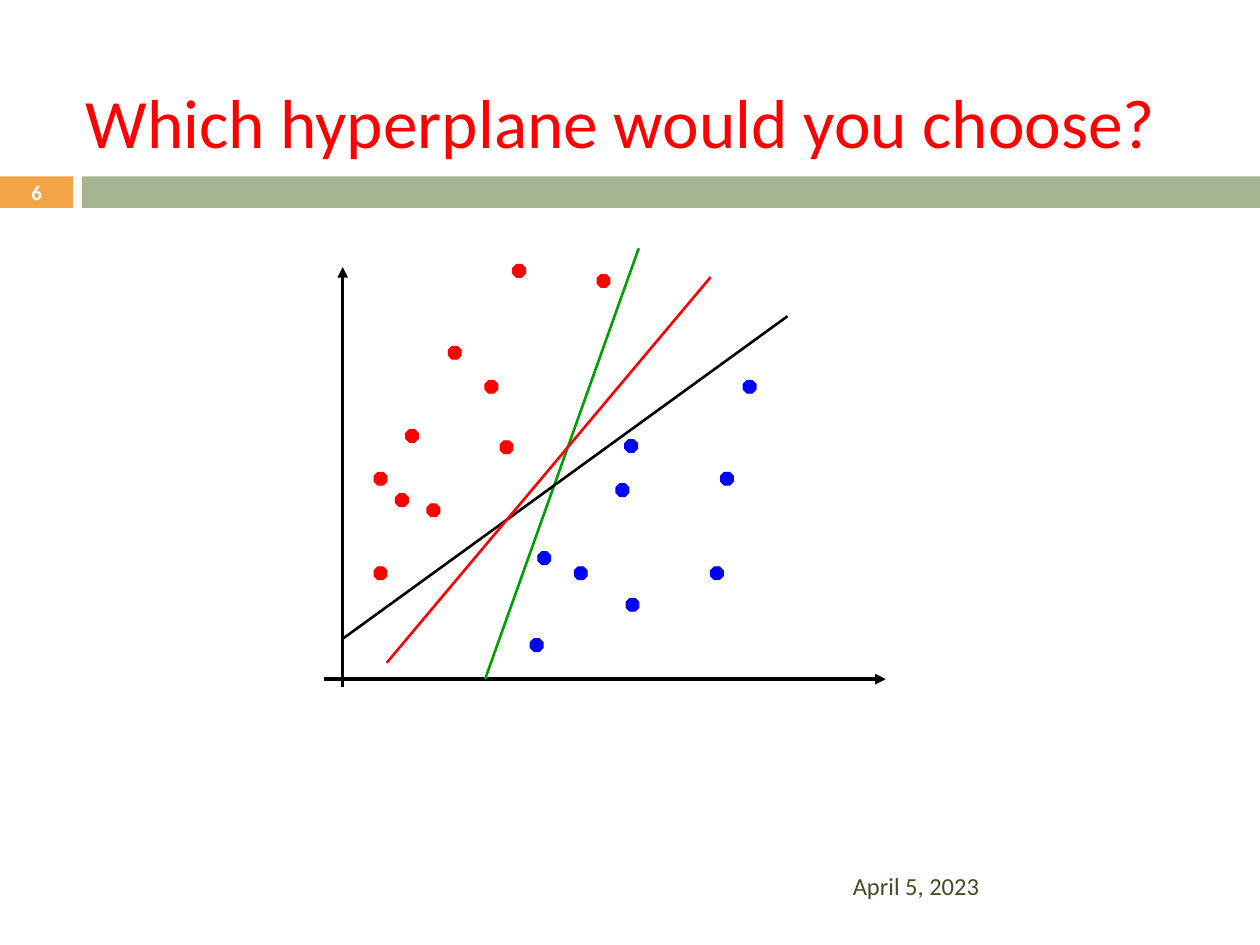
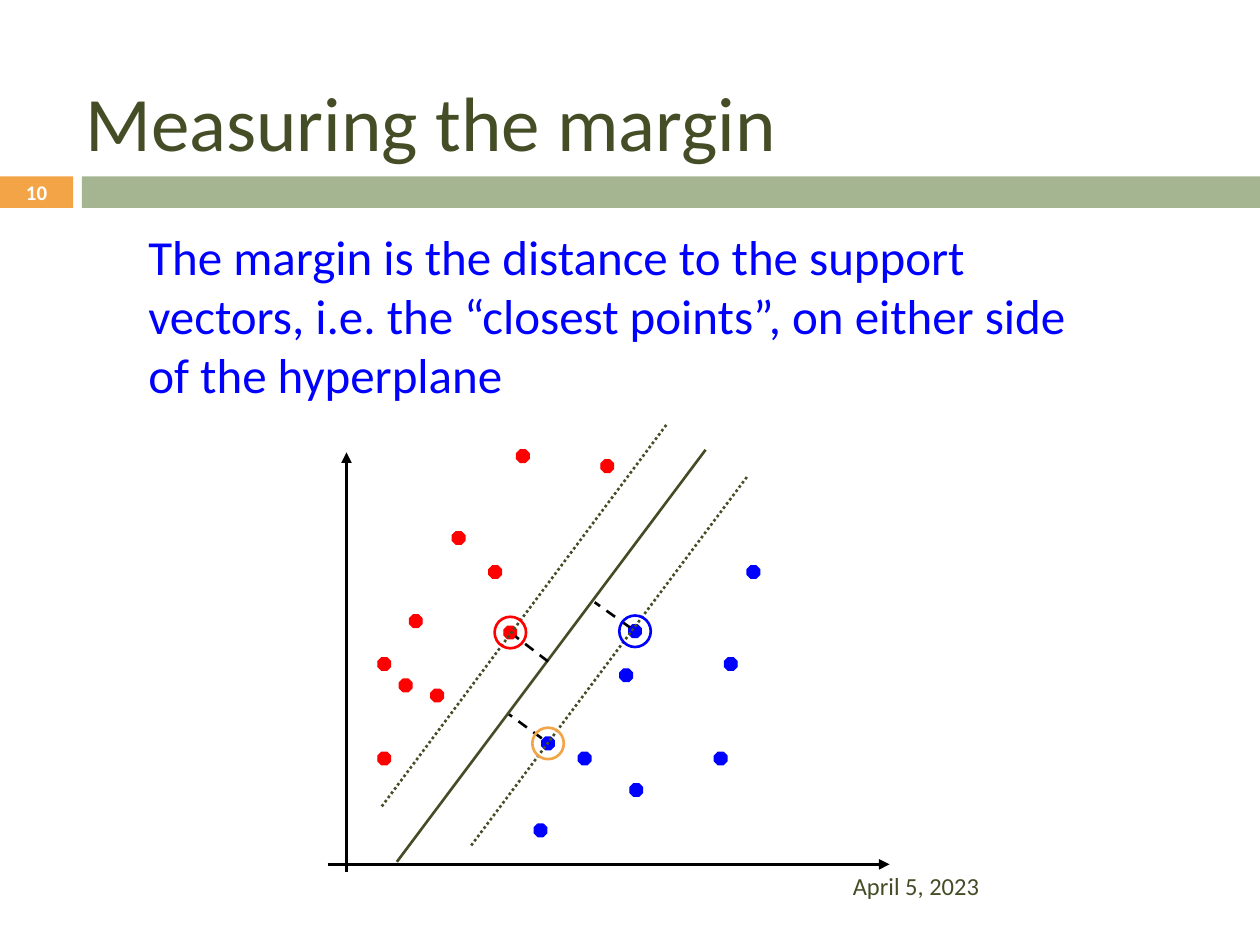
"""Build two slides on choosing a separating hyperplane and measuring its margin."""
import pptx
import pptx.dml.color
import pptx.enum.dml
import pptx.enum.shapes
import pptx.enum.text
import pptx.oxml
import pptx.oxml.ns
import pptx.util

RGBColor = pptx.dml.color.RGBColor
SHAPE = pptx.enum.shapes.MSO_SHAPE
DASH = pptx.enum.dml.MSO_LINE
ALIGN = pptx.enum.text.PP_ALIGN
ANCHOR = pptx.enum.text.MSO_ANCHOR

ORANGE = RGBColor(0xF3, 0xA4, 0x47)
SAGE = RGBColor(0xA5, 0xB5, 0x92)
OLIVE = RGBColor(0x44, 0x4D, 0x26)
RED = RGBColor(0xFF, 0x00, 0x00)
BLUE = RGBColor(0x00, 0x00, 0xFF)
GREEN = RGBColor(0x00, 0xA0, 0x00)
BLACK = RGBColor(0x00, 0x00, 0x00)
WHITE = RGBColor(0xFF, 0xFF, 0xFF)

deck = pptx.Presentation()
deck.slide_width = pptx.util.Inches(10)
deck.slide_height = pptx.util.Inches(7.5)
COLUMN = deck.slide_width / 10
ROW = deck.slide_height / 7.5

DOT = 0.1
RING = 0.25
AXES = [((0, -0.06), (0, 3.27)), ((-0.15, 0), (4.31, 0))]
POINTS = {
    RED: [(1.18, 2.32), (0.55, 1.93), (0.72, 1.34), (0.3, 0.84), (0.89, 2.59),
          (0.3, 1.59), (0.47, 1.42), (1.3, 1.84), (1.4, 3.24), (2.07, 3.16)],
    BLUE: [(2.29, 1.85), (1.89, 0.84), (2.97, 0.84), (1.54, 0.27), (2.22, 1.5),
           (1.6, 0.96), (2.3, 0.59), (3.05, 1.59), (3.23, 2.32)],
}

SLIDES = [
    {
        "number": "6", "title": "Which hyperplane would you choose?",
        "title_size": 39.6, "title_color": RED, "body": None,
        "origin": (2.72, 5.39),
        "lines": [
            ((1.13, 0), (2.35, 3.42), GREEN, DASH.SOLID),
            ((0, 0.32), (3.53, 2.88), BLACK, DASH.SOLID),
            ((0.35, 0.13), (2.92, 3.19), RED, DASH.SOLID),
        ],
        "support_vectors": [],
    },
    {
        "number": "10", "title": "Measuring the margin",
        "title_size": 44, "title_color": OLIVE,
        "body": "The margin is the distance to the support vectors, i.e. the "
                "“closest points”, on either side of the hyperplane",
        "origin": (2.75, 6.86),
        "lines": [
            ((0.4, 0.02), (2.85, 3.29), OLIVE, DASH.SOLID),
            ((2.25, 1.88), (1.97, 2.08), BLACK, DASH.DASH),
            ((1.55, 1), (1.29, 1.19), BLACK, DASH.DASH),
            ((1.6, 1.61), (1.34, 1.81), BLACK, DASH.DASH),
            ((0.99, 0.15), (3.19, 3.09), OLIVE, DASH.ROUND_DOT),
            ((0.28, 0.46), (2.54, 3.49), OLIVE, DASH.ROUND_DOT),
        ],
        "support_vectors": [((1.3, 1.84), RED), ((1.6, 0.96), ORANGE), ((2.29, 1.85), BLUE)],
    },
]


def add_text(page, area, text, size, color, anchor=ANCHOR.MIDDLE, align=ALIGN.LEFT, bold=False):
    left, top, width, height = area
    box = page.shapes.add_textbox(
        int(left * COLUMN), int(top * ROW), int(width * COLUMN), int(height * ROW))
    box.text_frame.word_wrap = True
    box.text_frame.vertical_anchor = anchor
    para = box.text_frame.paragraphs[0]
    para.text = text
    para.alignment = align
    para.font.name = "Calibri"
    para.font.size = pptx.util.Pt(size)
    para.font.bold = bold
    para.font.color.rgb = color


def add_plot_line(page, origin, start, end, color, width, dash=DASH.SOLID):
    across, down = origin
    line = page.shapes.add_connector(
        pptx.enum.shapes.MSO_CONNECTOR.STRAIGHT,
        int((across + start[0]) * COLUMN), int((down - start[1]) * ROW),
        int((across + end[0]) * COLUMN), int((down - end[1]) * ROW))
    line.line.color.rgb = color
    line.line.width = pptx.util.Pt(width)
    line.line.dash_style = dash
    properties = line._element.spPr
    properties.append(pptx.oxml.parse_xml(
        f"<a:effectLst {pptx.oxml.ns.nsdecls('a')}/>"))
    return line


for content in SLIDES:
    page = deck.slides.add_slide(deck.slide_layouts[6])
    for left, width, color in [(0, 0.58, ORANGE), (0.65, 9.35, SAGE)]:
        band = page.shapes.add_shape(
            SHAPE.RECTANGLE, int(left * COLUMN), int(1.4 * ROW),
            int(width * COLUMN), int(0.25 * ROW))
        band.shadow.inherit = False
        band.fill.solid()
        band.fill.fore_color.rgb = color
        band.line.fill.background()

    add_text(page, (0.58, 0.42, 8.83, 1.08), content["title"],
             content["title_size"], content["title_color"])
    if content["body"]:
        add_text(page, (1.08, 1.75, 7.73, 1.51), content["body"], 28, BLUE, ANCHOR.TOP)

    across, down = content["origin"]
    for start, end in AXES:
        axis = add_plot_line(page, content["origin"], start, end, BLACK, 2)
        axis.line._get_or_add_ln().append(pptx.oxml.parse_xml(
            f"<a:tailEnd {pptx.oxml.ns.nsdecls('a')} type='triangle'/>"))

    for color, points in POINTS.items():
        for x, y in points:
            dot = page.shapes.add_shape(
                SHAPE.OCTAGON, int((across + x - DOT / 2) * COLUMN),
                int((down - y - DOT / 2) * ROW), int(DOT * COLUMN), int(DOT * ROW))
            dot.shadow.inherit = False
            dot.fill.solid()
            dot.fill.fore_color.rgb = color
            dot.line.color.rgb = color
            dot.line.width = pptx.util.Pt(0.75)

    for start, end, color, dash in content["lines"]:
        add_plot_line(page, content["origin"], start, end, color, 1.5, dash)

    for (x, y), color in content["support_vectors"]:
        ring = page.shapes.add_shape(
            SHAPE.OVAL, int((across + x - RING / 2) * COLUMN),
            int((down - y - RING / 2) * ROW), int(RING * COLUMN), int(RING * ROW))
        ring.shadow.inherit = False
        ring.fill.background()
        ring.line.color.rgb = color
        ring.line.width = pptx.util.Pt(1.5)

    add_text(page, (6.67, 6.83, 2.92, 0.4), "April 5, 2023", 14, OLIVE)
    add_text(page, (0, 1.39, 0.58, 0.27), content["number"], 11.9, WHITE,
             align=ALIGN.CENTER, bold=True)

deck.save("out.pptx")
